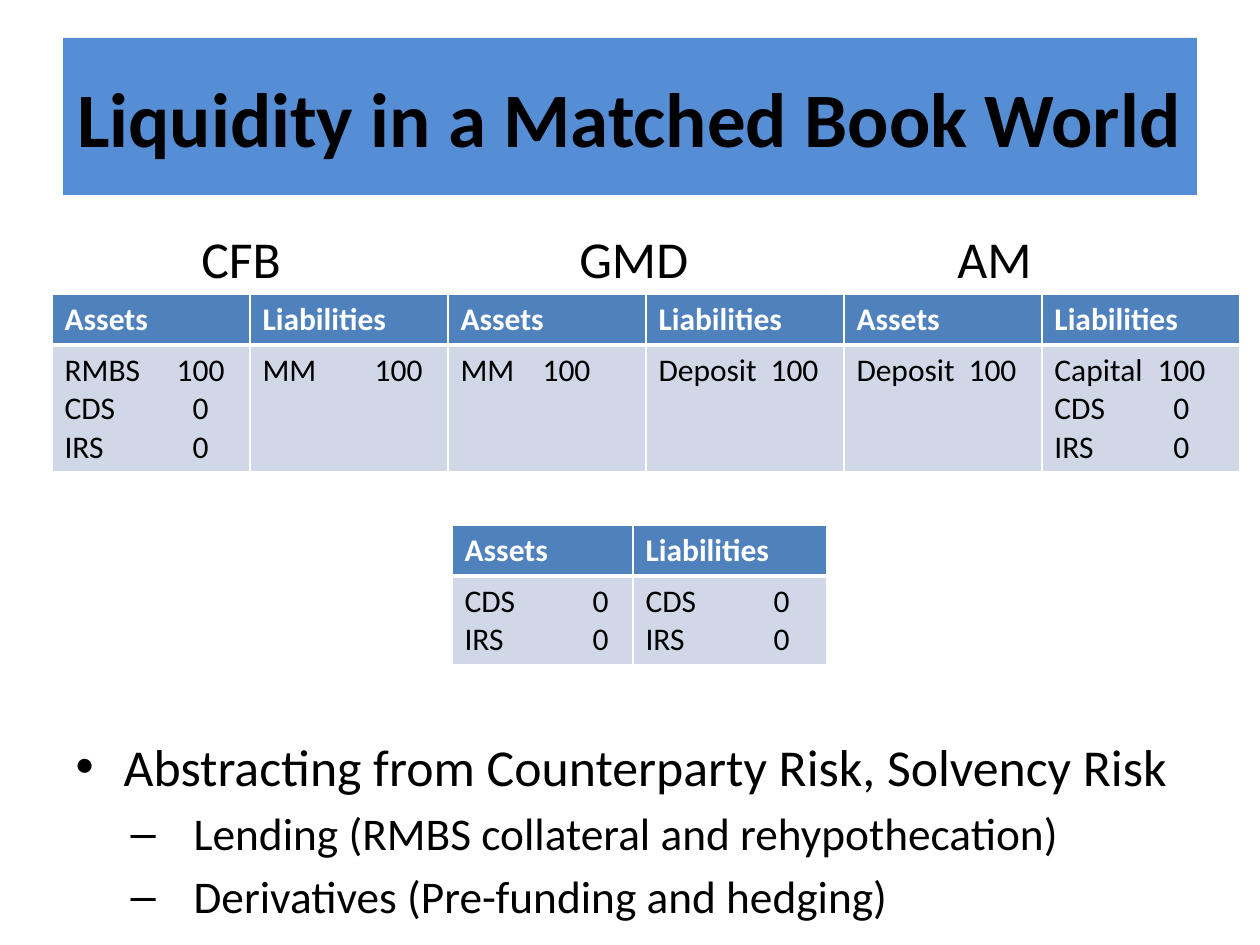
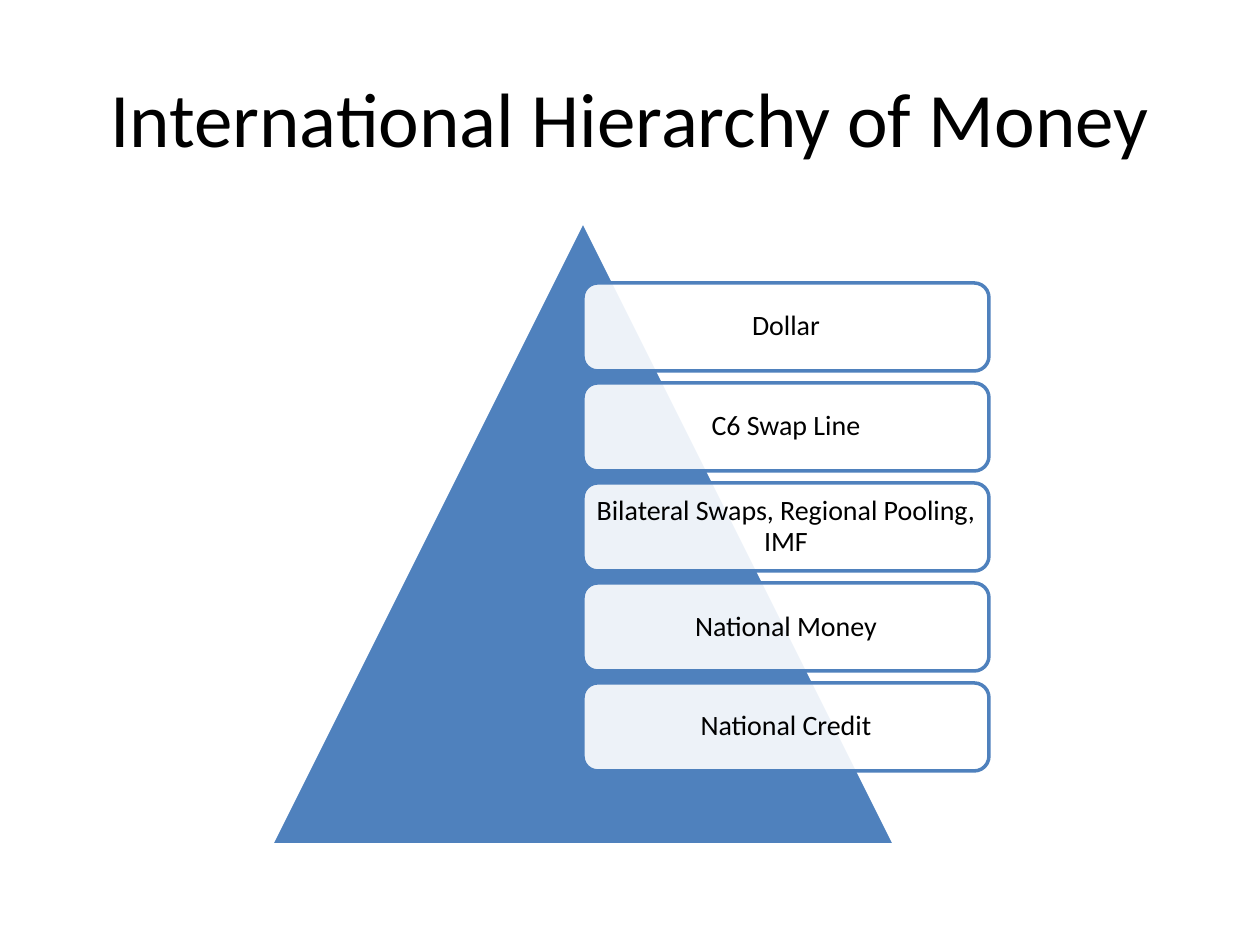
from lxml.etree import SubElement
from pptx import Presentation
from pptx.dml.color import RGBColor
from pptx.enum.shapes import MSO_SHAPE as Shape
from pptx.enum.text import MSO_ANCHOR as Anchor, MSO_AUTO_SIZE as AutoSize, PP_ALIGN as Align
from pptx.oxml import parse_xml
from pptx.oxml.ns import nsdecls, qn
from pptx.util import Emu, Pt

FONT = "Calibri"
BLACK = RGBColor(0x00, 0x00, 0x00)
WHITE = RGBColor(0xFF, 0xFF, 0xFF)
BAND_BLUE = RGBColor(0x55, 0x8E, 0xD5)
BLUE = RGBColor(0x4F, 0x81, 0xBD)
PALE_BLUE = RGBColor(0xD0, 0xD8, 0xE8)

HEADER_HEIGHT = 51
AMOUNT_TAB = 136
THIN, THICK = 1, 3


def px(value):
    """Turn pixels at 126 to the inch into EMU."""
    return Emu(value * 914400 // 126)


def place(shape, left, top, width, height):
    """Move and size a shape."""
    shape.left, shape.top, shape.width, shape.height = map(px, (left, top, width, height))


def add_run(paragraph, text, size, color=BLACK, bold=False):
    """Add one formatted run."""
    run = paragraph.add_run()
    run.text = text
    run.font.name = FONT
    run.font.size = Pt(size)
    run.font.bold = bold
    run.font.color.rgb = color


def next_paragraph(frame):
    """Return the empty first paragraph, or a new one."""
    first = frame.paragraphs[0]
    return frame.add_paragraph() if first.runs else first


def set_center_tab(paragraph, position):
    """Set one centred tab stop."""
    tabs = SubElement(paragraph._p.get_or_add_pPr(), qn("a:tabLst"))
    SubElement(tabs, qn("a:tab"), pos=str(px(position)), algn="ctr")


def add_title(slide, text, bold=False, fill=None):
    """Fill the title placeholder, with a band behind it if asked."""
    title = slide.shapes.title
    place(title, 63, 38, 1134, 157)
    if fill:
        title.fill.solid()
        title.fill.fore_color.rgb = fill
    frame = title.text_frame
    frame.auto_size = AutoSize.NONE
    frame.vertical_anchor = Anchor.MIDDLE
    paragraph = frame.paragraphs[0]
    paragraph.alignment = Align.CENTER
    add_run(paragraph, text, 44, bold=bold)


def add_sector_label(slide, left, text):
    """Name the sector above its balance sheet."""
    label = slide.shapes.add_textbox(px(left), px(221), px(252), px(72))
    frame = label.text_frame
    frame.word_wrap = True
    add_run(frame.paragraphs[0], text, 29.6)


def add_list_item(frame, text, size, space, bullet, margin, hanging, level=0):
    """Add one bulleted line with a hanging indent."""
    paragraph = next_paragraph(frame)
    paragraph.level = level
    paragraph.space_before = Pt(space)
    properties = paragraph._p.get_or_add_pPr()
    properties.set("marL", str(px(margin)))
    properties.set("indent", str(-px(hanging)))
    SubElement(properties, qn("a:buChar"), char=bullet)
    add_run(paragraph, text, size)


def add_body(slide):
    """Fill the body placeholder with the bulleted list."""
    body = slide.placeholders[1]
    place(body, 63, 728, 1134, 210)
    frame = body.text_frame
    frame.auto_size = AutoSize.NONE
    add_list_item(frame, "Abstracting from Counterparty Risk, Solvency Risk",
                  29.6, 0, "•", 48, 48)
    for text in ("Lending (RMBS collateral and rehypothecation)",
                 "Derivatives (Pre-funding and hedging)"):
        add_list_item(frame, text, 25.9, 5, "–", 118, 63, level=1)


def style_cell(cell, fill, top, bottom):
    """Fill a cell and give it white borders."""
    cell.fill.solid()
    cell.fill.fore_color.rgb = fill
    properties = cell._tc.get_or_add_tcPr()
    borders = (("L", THIN), ("R", THIN), ("T", top), ("B", bottom))
    for index, (side, width) in enumerate(borders):
        properties.insert(index, parse_xml(
            f'<a:ln{side} {nsdecls("a")} w="{Pt(width)}"><a:solidFill>'
            f'<a:srgbClr val="{WHITE}"/></a:solidFill></a:ln{side}>'))


def add_balance_sheet(slide, left, top, widths, body_height, columns):
    """Add a table whose columns alternate assets and liabilities."""
    frame = slide.shapes.add_table(2, len(columns), px(left), px(top), px(sum(widths)),
                                   px(HEADER_HEIGHT + body_height))
    table = frame.table
    table.rows[0].height = px(HEADER_HEIGHT)
    table.rows[1].height = px(body_height)
    for index, (entries, tab) in enumerate(columns):
        table.columns[index].width = px(widths[index])
        header, body = table.cell(0, index), table.cell(1, index)
        style_cell(header, BLUE, THIN, THICK)
        style_cell(body, PALE_BLUE, THICK, THIN)
        add_run(header.text_frame.paragraphs[0], ("Assets", "Liabilities")[index % 2],
                18, WHITE, True)
        for name, amount in entries:
            paragraph = next_paragraph(body.text_frame)
            set_center_tab(paragraph, tab)
            add_run(paragraph, f"{name}\t{amount}", 18)


def add_shape(slide, kind, box, fill, line):
    """Add a filled and outlined preset shape."""
    shape = slide.shapes.add_shape(kind, *map(px, box))
    shape.shadow.inherit = False
    shape.fill.solid()
    shape.fill.fore_color.rgb = fill
    shape.line.color.rgb = line
    shape.line.width = Pt(2)
    return shape


def add_level(slide, top, text):
    """Add one translucent level of the hierarchy."""
    level = add_shape(slide, Shape.ROUNDED_RECTANGLE, (583, top, 406, 88), WHITE, BLUE)
    color = level._element.spPr.find(qn("a:solidFill")).find(qn("a:srgbClr"))
    SubElement(color, qn("a:alpha"), val="90000")
    frame = level.text_frame
    frame.word_wrap = True
    frame.vertical_anchor = Anchor.MIDDLE
    frame.margin_left = frame.margin_right = px(7)
    frame.margin_top = frame.margin_bottom = px(7)
    paragraph = frame.paragraphs[0]
    paragraph.alignment = Align.CENTER
    paragraph.line_spacing = 0.9
    add_run(paragraph, text, 16)


def build_matched_book(presentation):
    """Build the slide of matched balance sheets."""
    slide = presentation.slides.add_slide(presentation.slide_layouts[1])
    add_title(slide, "Liquidity in a Matched Book World", True, BAND_BLUE)
    add_body(slide)
    for index, sector in enumerate(("CFB", "GMD", "AM")):
        add_sector_label(slide, 189 + 378 * index, sector)
    swaps = [("CDS", 0), ("IRS", 0)]
    money_market, deposit = [("MM", 100)], [("Deposit", 100)]
    add_balance_sheet(slide, 52, 294, [198] * 6, 127, [
        ([("RMBS", 100)] + swaps, AMOUNT_TAB),
        (money_market, AMOUNT_TAB),
        (money_market, 106),
        (deposit, AMOUNT_TAB),
        (deposit, AMOUNT_TAB),
        ([("Capital", 100)] + swaps, 127),
    ])
    add_balance_sheet(slide, 452, 525, [181, 194], 89, [(swaps, AMOUNT_TAB)] * 2)


def build_hierarchy(presentation):
    """Build the slide of the money pyramid."""
    slide = presentation.slides.add_slide(presentation.slide_layouts[5])
    add_title(slide, "International Hierarchy of Money")
    add_shape(slide, Shape.ISOSCELES_TRIANGLE, (271, 221, 624, 624), BLUE, WHITE)
    levels = ("Dollar", "C6 Swap Line", "Bilateral Swaps, Regional Pooling, IMF",
              "National Money", "National Credit")
    for index, text in enumerate(levels):
        add_level(slide, 283 + 100 * index, text)


def main():
    """Build and save the presentation."""
    presentation = Presentation()
    presentation.slide_width, presentation.slide_height = px(1260), px(945)
    build_matched_book(presentation)
    build_hierarchy(presentation)
    presentation.save("out.pptx")


if __name__ == "__main__":
    main()
